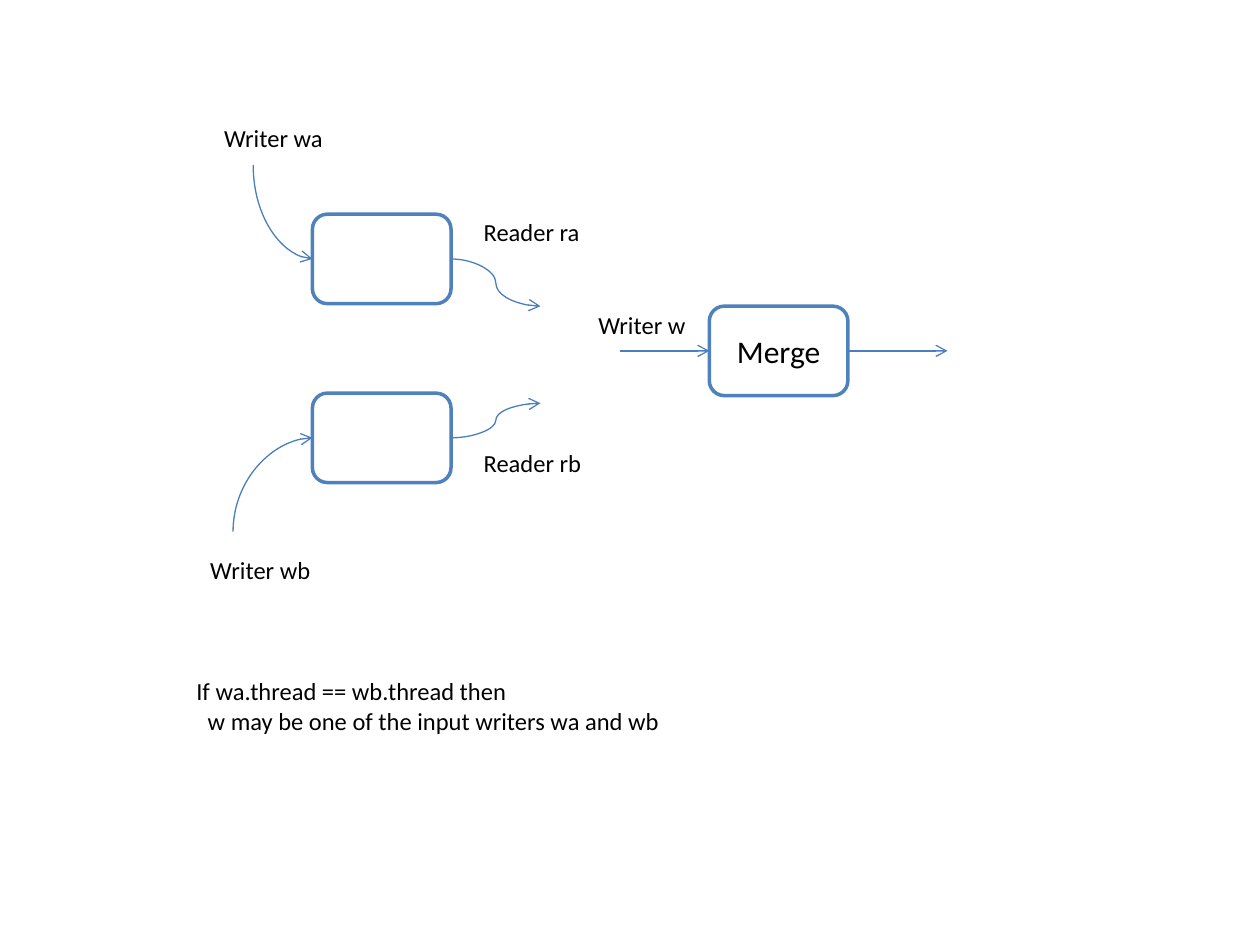
import pptx
import pptx.util
import pptx.dml.color
import pptx.enum.shapes
import pptx.enum.text
import pptx.oxml.ns
from lxml import etree

Inches, Pt = pptx.util.Inches, pptx.util.Pt
RGBColor = pptx.dml.color.RGBColor
CONNECTOR = pptx.enum.shapes.MSO_CONNECTOR
qn = pptx.oxml.ns.qn

WHITE = RGBColor(0xFF, 0xFF, 0xFF)
BLACK = RGBColor(0x00, 0x00, 0x00)
BLUE = RGBColor(0x4F, 0x81, 0xBD)
ARROW_BLUE = RGBColor(0x4B, 0x7E, 0xBC)


class Diagram:
    font = "Calibri"
    box_w, box_h = 1.1, 0.71

    def __init__(self, slide):
        self.slide = slide

    def style(self, p, size):
        p.font.name, p.font.size = self.font, Pt(size)
        p.font.color.rgb = BLACK

    def box(self, x, y, text=""):
        sp = self.slide.shapes.add_shape(
            pptx.enum.shapes.MSO_SHAPE.ROUNDED_RECTANGLE,
            Inches(x), Inches(y), Inches(self.box_w), Inches(self.box_h))
        sp.shadow.inherit = False
        sp.fill.solid()
        sp.fill.fore_color.rgb = WHITE
        sp.line.color.rgb = BLUE
        sp.line.width = Pt(2)
        if text:
            tf = sp.text_frame
            tf.vertical_anchor = pptx.enum.text.MSO_ANCHOR.MIDDLE
            p = tf.paragraphs[0]
            p.text = text
            p.alignment = pptx.enum.text.PP_ALIGN.CENTER
            self.style(p, 18)

    def label(self, x, y, w, h, *lines, indent=0.09):
        sp = self.slide.shapes.add_textbox(Inches(x), Inches(y), Inches(w), Inches(h))
        tf = sp.text_frame
        tf.word_wrap = True
        tf.auto_size = pptx.enum.text.MSO_AUTO_SIZE.SHAPE_TO_FIT_TEXT
        for i, line in enumerate(lines):
            p = tf.add_paragraph() if i else tf.paragraphs[0]
            p.text = line
            self.style(p, 14)
            if i:
                p._p.get_or_add_pPr().set("marL", str(Inches(indent)))

    def arrow(self, x1, y1, x2, y2, kind=CONNECTOR.STRAIGHT):
        c = self.slide.shapes.add_connector(
            kind, Inches(x1), Inches(y1), Inches(x2), Inches(y2))
        c.line.color.rgb = ARROW_BLUE
        c.line.width = Pt(0.75)
        etree.SubElement(c.line._get_or_add_ln(), qn("a:tailEnd"), type="arrow")
        etree.SubElement(c._element.spPr, qn("a:effectLst"))
        return c

    def bend(self, x1, y1, x2, y2):
        """Quarter curve that leaves vertically and arrives horizontally."""
        cx, cy = (x1 + x2) / 2, (y1 + y2) / 2
        down = y2 > y1
        half_w = abs(y2 - y1) / 2
        half_h = (x2 - x1) / 2 * (1 if down else -1)
        c = self.arrow(cx + half_w, cy - half_h, cx - half_w, cy + half_h,
                       CONNECTOR.CURVE)
        spPr = c._element.spPr
        spPr.find(qn("a:xfrm")).set("rot", str((270 if down else 90) * 60000))
        spPr.find(qn("a:prstGeom")).set("prst", "curvedConnector2")


prs = pptx.Presentation()
prs.slide_width, prs.slide_height = Inches(10), Inches(7.5)
s = Diagram(prs.slides.add_slide(prs.slide_layouts[6]))

# Boxes
input_x, merge_x = 2.48, 5.63
a_y, b_y, merge_y = 1.7, 3.12, 2.43
s.box(input_x, a_y)
s.box(input_x, b_y)
s.box(merge_x, merge_y, "Merge")

# Writers into and readers out of the input boxes
mid = Diagram.box_h / 2
for y, writer_x, writer_y, reader_y in ((a_y, 2.01, 1.31, 2.43), (b_y, 1.85, 4.22, 3.2)):
    s.bend(writer_x, writer_y, input_x, y + mid)
    s.arrow(input_x + Diagram.box_w, y + mid, 4.29, reader_y, CONNECTOR.CURVE)

# Arrows into and out of the merge box
merge_mid = merge_y + mid
s.arrow(4.92, merge_mid, merge_x, merge_mid)
s.arrow(merge_x + Diagram.box_w, merge_mid, 7.52, merge_mid)

# Labels
for text, x, y, w in (
    ("Writer wa", 1.68, 0.93, 1.03),
    ("Writer wb", 1.57, 4.36, 1.01),
    ("Reader ra", 3.74, 1.67, 1.1),
    ("Reader rb", 3.74, 3.51, 1.02),
    ("Writer w", 4.65, 2.41, 0.91),
):
    s.label(x, y, w, 0.34, text)

# Rule
s.label(1.46, 5.32, 4.02, 0.57, "If wa.thread == wb.thread then",
        "w may be one of the input writers wa and wb")

prs.save("out.pptx")
